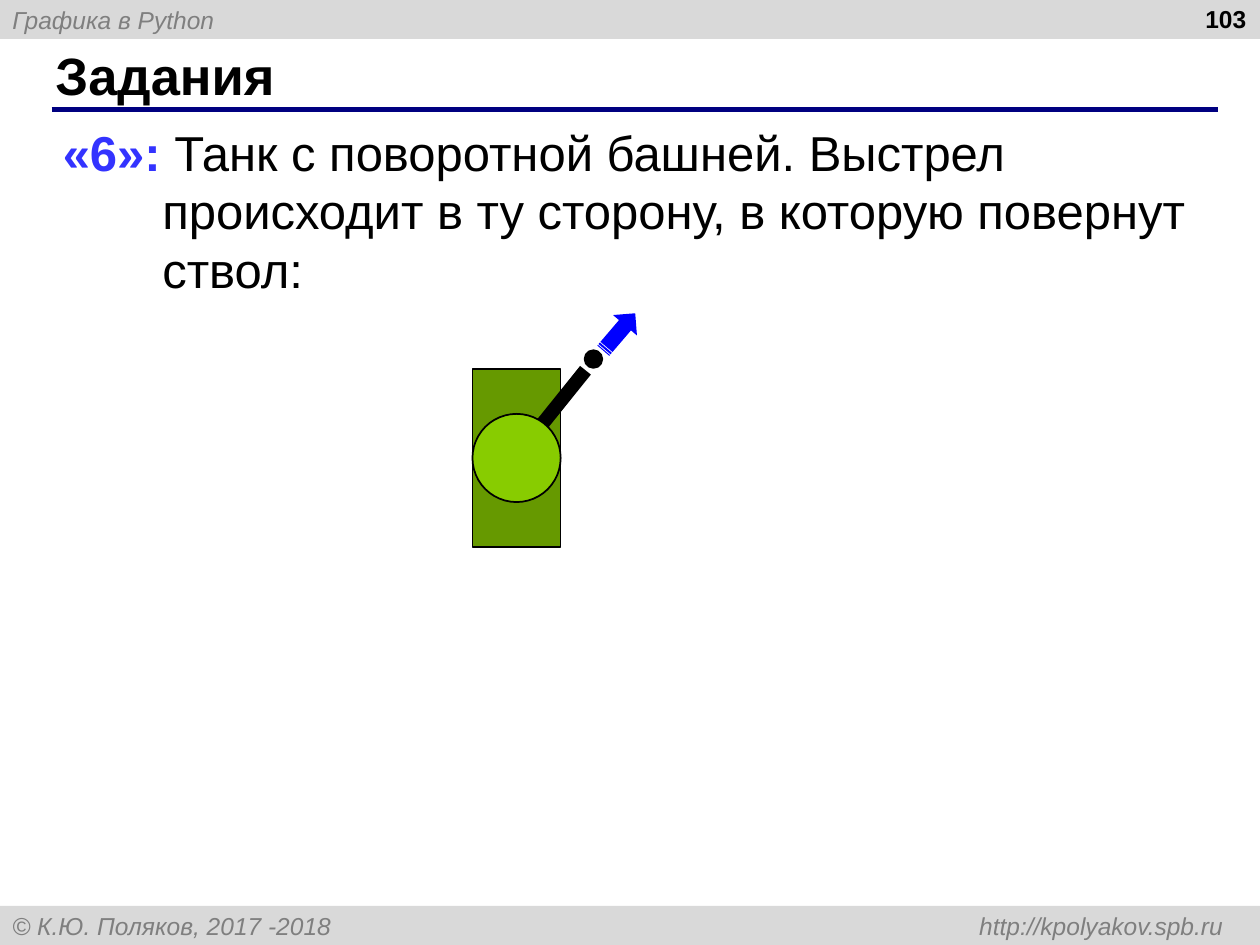
import dataclasses

import lxml.etree
import pptx
import pptx.dml.color
import pptx.enum.shapes
import pptx.enum.text
import pptx.oxml.ns
import pptx.util

Inches = pptx.util.Inches
Kind = pptx.enum.shapes.MSO_SHAPE
Align = pptx.enum.text.PP_ALIGN
Anchor = pptx.enum.text.MSO_ANCHOR
qn = pptx.oxml.ns.qn


@dataclasses.dataclass(frozen=True)
class Theme:
    font: str = "Arial"
    band: str = "D9D9D9"
    muted: str = "7F7F7F"
    ink: str = "000000"
    rule: str = "000080"
    accent: str = "3333FF"
    hull: str = "669900"
    turret: str = "88CC00"
    arrow: str = "0000FF"
    small: int = 14
    body: int = 28
    title: int = 30


THEME = Theme()


def color(value):
    return pptx.dml.color.RGBColor.from_string(value)


def style(span, size, value, bold=False, italic=False):
    span.font.name = THEME.font
    span.font.size = pptx.util.Pt(size)
    span.font.color.rgb = color(value)
    span.font.bold = bold
    span.font.italic = italic


def add_part(shapes, kind, box, fill, line=None, rotation=0):
    part = shapes.add_shape(kind, *map(Inches, box))
    part.shadow.inherit = False
    part.fill.solid()
    part.fill.fore_color.rgb = color(fill)
    if line:
        part.line.color.rgb = color(line)
        part.line.width = pptx.util.Pt(1)
    else:
        part.line.fill.background()
    part.rotation = rotation
    return part


def add_band(page, box, text, right_tab=None):
    frame = add_part(page.shapes, Kind.RECTANGLE, box, THEME.band).text_frame
    frame.vertical_anchor = Anchor.MIDDLE
    frame.text = text
    para = frame.paragraphs[0]
    para.alignment = Align.LEFT
    if right_tab:
        tabs = lxml.etree.SubElement(para._p.get_or_add_pPr(), qn("a:tabLst"))
        lxml.etree.SubElement(tabs, qn("a:tab"), pos=str(Inches(right_tab)), algn="r")
    style(para.runs[0], THEME.small, THEME.muted, italic=True)


def add_title(page, box, text):
    title = page.shapes.title
    title.left, title.top, title.width, title.height = map(Inches, box)
    frame = title.text_frame
    frame.vertical_anchor = Anchor.MIDDLE
    frame.text = text
    frame.paragraphs[0].alignment = Align.LEFT
    style(frame.paragraphs[0].runs[0], THEME.title, THEME.ink, bold=True)


def add_rule(page, left, right, height):
    rule = page.shapes.add_connector(
        pptx.enum.shapes.MSO_CONNECTOR.STRAIGHT,
        Inches(left), Inches(height), Inches(right), Inches(height))
    rule.line.color.rgb = color(THEME.rule)
    rule.line.width = pptx.util.Pt(3)
    lxml.etree.SubElement(rule._element.spPr, qn("a:effectLst"))


def add_page_number(page, box, text):
    frame = page.shapes.add_textbox(*map(Inches, box)).text_frame
    frame.word_wrap = True
    frame.text = text
    frame.paragraphs[0].alignment = Align.RIGHT
    style(frame.paragraphs[0].runs[0], THEME.small, THEME.ink, bold=True)


def add_task(page, box, label, text):
    frame = page.shapes.add_textbox(*map(Inches, box)).text_frame
    frame.word_wrap = True
    para = frame.paragraphs[0]
    indent = Inches(0.79)
    props = para._p.get_or_add_pPr()
    props.set("marL", str(indent))
    props.set("indent", str(-indent))
    para.text = label
    para.add_run().text = text
    label_span, text_span = para.runs
    style(label_span, THEME.body, THEME.accent, bold=True)
    style(text_span, THEME.body, THEME.ink)


def add_tank(page, box):
    left, top, width, height = box
    tank = page.shapes.add_group_shape().shapes
    turret_top = top + (height - width) / 2
    add_part(tank, Kind.RECTANGLE, box, THEME.hull, THEME.ink)
    add_part(tank, Kind.RECTANGLE, (left + 0.56, top - 0.09, 0.11, 0.9),
             THEME.ink, rotation=38.8)
    add_part(tank, Kind.OVAL, (left, turret_top, width, width), THEME.turret, THEME.ink)
    add_part(tank, Kind.STRIPED_RIGHT_ARROW, (left + 0.97, top - 0.42, 0.39, 0.25),
             THEME.arrow, rotation=310.5)
    add_part(tank, Kind.OVAL, (left + 0.89, top - 0.15, 0.14, 0.14), THEME.ink, THEME.ink)


def main():
    deck = pptx.Presentation()
    deck.slide_width, deck.slide_height = Inches(10), Inches(7.5)
    page = deck.slides.add_slide(deck.slide_layouts[5])
    add_band(page, (0, 0, 10, 0.31), "Графика в Python")
    add_band(page, (0, 7.19, 10, 0.31),
             "© К.Ю. Поляков, 2017 -2018\thttp://kpolyakov.spb.ru", right_tab=9.61)
    add_rule(page, 0.41, 9.67, 0.87)
    add_title(page, (0.34, 0.33, 9.16, 0.52), "Задания")
    add_page_number(page, (7.66, -0.02, 2.33, 0.52), "103")
    add_task(page, (0.4, 0.92, 9.2, 2.21), "«6»: ",
             "Танк с поворотной башней. Выстрел происходит в ту сторону, "
             "в которую повернут ствол:")
    add_tank(page, (3.75, 2.93, 0.7, 1.41))
    deck.save("out.pptx")


if __name__ == "__main__":
    main()
